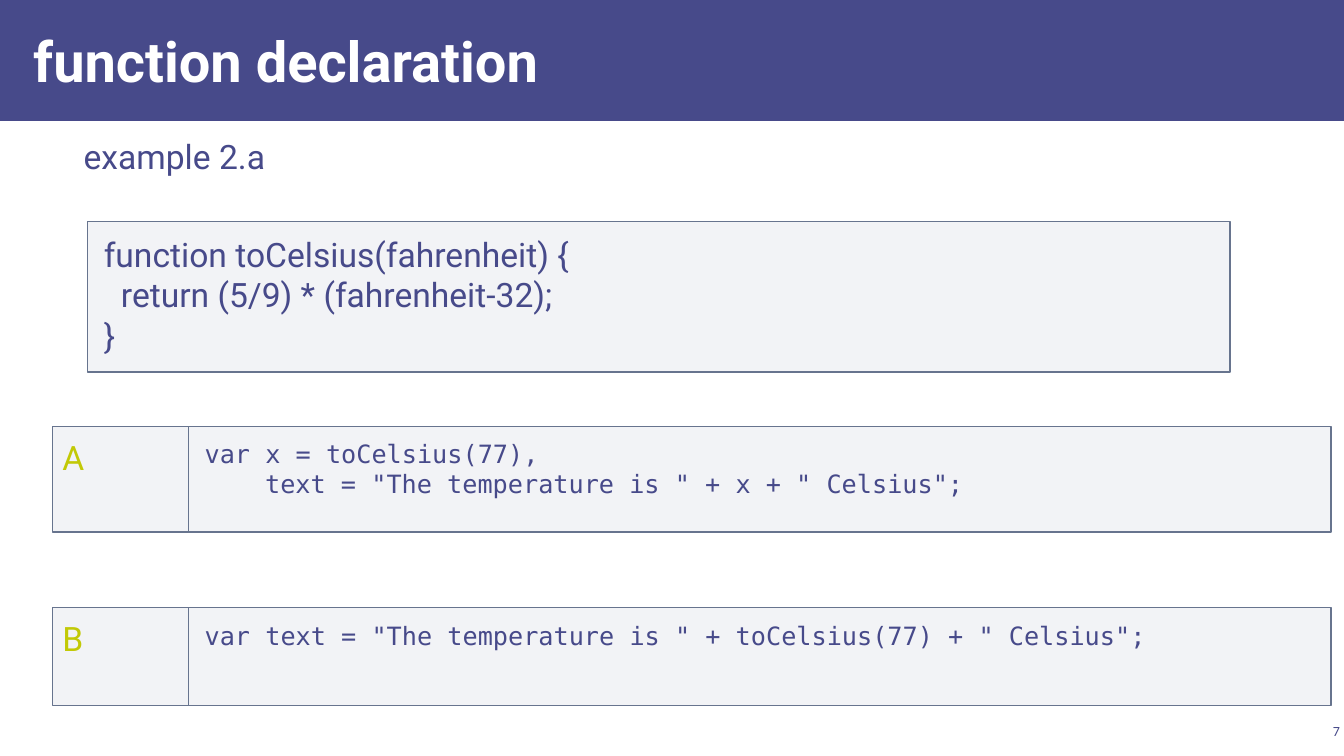
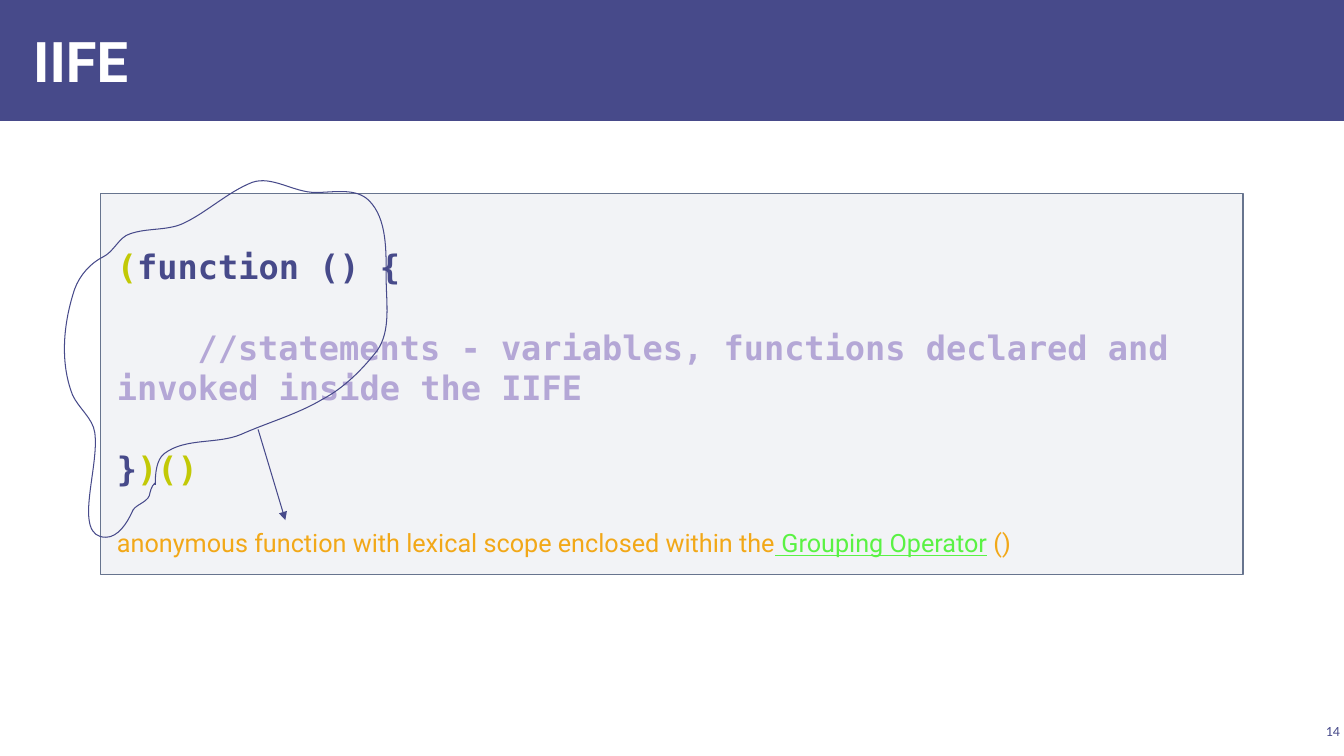
import pptx
import pptx.util
import pptx.dml.color
import pptx.enum.shapes
import pptx.enum.text
import pptx.oxml
import pptx.oxml.ns

Inches = pptx.util.Inches
Pt = pptx.util.Pt
SHAPE = pptx.enum.shapes.MSO_SHAPE
ANCHOR = pptx.enum.text.MSO_ANCHOR
ALIGN = pptx.enum.text.PP_ALIGN

INK, WHITE, LIME = "474A8A", "FFFFFF", "C2C906"
TINT, EDGE = "ACB4C3", "67748E"
LILAC, GOLD, GREEN = "B4A7D6", "F2A818", "5AF244"
SANS, MONO, SMALL = "Roboto", "DejaVu Sans Mono", "Calibri"
WIDE = 11.33
PAD = (0.16, 0.12)

BODY = [
    {"text": "function toCelsius(fahrenheit) {"},
    {"text": "return (5/9) * (fahrenheit-32);", "indent": 0.17},
    {"text": "}"},
]

CALLS = [
    ("A", 4.23, 1.05, [
        {"text": "var x = toCelsius(77),"},
        {"text": 'text = "The temperature is " + x + " Celsius";', "indent": 0.6},
    ]),
    ("B", 6.03, 0.97, [
        {"text": 'var text = "The temperature is " + toCelsius(77) + " Celsius";'},
    ]),
]

CODE = {"size": 24, "face": MONO, "bold": True}
IIFE = [
    {"runs": [("(", LIME), ("function () {", INK)], **CODE},
    {"text": "//statements - variables, functions declared and invoked inside the IIFE",
     "color": LILAC, "indent": 0.8, "gap": 29, **CODE},
    {"runs": [("}", INK), (")()", LIME)], "gap": 29, **CODE},
    {"runs": [("anonymous function with lexical scope enclosed within the", GOLD),
              (" Grouping Operator", GREEN, True), (" ()", GOLD)],
     "size": 18, "gap": 28},
]

LOOP = (0.64, 1.79, 3.21, 3.54)
START = (1.54, 4.81)
CURVES = [
    (1.54, 4.7, 1.55, 4.56, 1.63, 4.5), (1.84, 4.34, 2.15, 4.41, 2.39, 4.31),
    (2.66, 4.19, 2.95, 4.11, 3.2, 3.96), (3.41, 3.85, 3.59, 3.67, 3.74, 3.48),
    (3.88, 3.28, 3.83, 3, 3.83, 2.76), (3.83, 2.49, 3.84, 2.17, 3.66, 1.99),
    (3.53, 1.86, 3.31, 1.91, 3.13, 1.91), (2.91, 1.91, 2.7, 1.74, 2.5, 1.81),
    (2.25, 1.91, 2.05, 2.11, 1.81, 2.22), (1.65, 2.29, 1.46, 2.26, 1.29, 2.32),
    (1.18, 2.35, 1.13, 2.5, 1.02, 2.55), (0.9, 2.61, 0.79, 2.73, 0.74, 2.87),
    (0.63, 3.2, 0.59, 3.59, 0.72, 3.92), (0.78, 4.05, 0.92, 4.15, 0.94, 4.29),
    (0.99, 4.64, 0.71, 5.33, 1.05, 5.33), (1.17, 5.33, 1.26, 5.19, 1.31, 5.08),
    (1.33, 5.01, 1.45, 4.99, 1.48, 4.92), (1.49, 4.88, 1.5, 4.82, 1.54, 4.79),
]


def paint(target, color):
    target.rgb = pptx.dml.color.RGBColor.from_string(color)


def fill(shape, color):
    shape.fill.solid()
    paint(shape.fill.fore_color, color)


def stroke(shape, color, width):
    paint(shape.line.color, color)
    shape.line.width = Pt(width)


def append(parent, tag, **attrs):
    child = parent.makeelement(pptx.oxml.ns.qn(tag), attrs)
    parent.append(child)
    return child


def write(shape, lines, pad, anchor=ANCHOR.TOP, align=ALIGN.LEFT, **style):
    frame = shape.text_frame
    frame.word_wrap = True
    frame.vertical_anchor = anchor
    frame.margin_left = frame.margin_right = Inches(pad[0])
    frame.margin_top = Inches(pad[1])
    frame.margin_bottom = Inches(min(pad))
    for pos, line in enumerate(lines):
        look = {"size": 24, "face": SANS, "color": INK, "bold": False, **style, **line}
        para = frame.add_paragraph() if pos else frame.paragraphs[0]
        para.alignment = align
        para.font.size = Pt(look["size"])
        para.font.name = look["face"]
        para.font.bold = look["bold"]
        paint(para.font.color, look["color"])
        if "gap" in look:
            para.space_before = Pt(look["gap"])
        if "indent" in look:
            para._p.get_or_add_pPr().set("indent", str(Inches(look["indent"])))
        for text, color, *under in look.get("runs") or [(look["text"], look["color"])]:
            run = para.add_run()
            run.text = text
            if color != look["color"]:
                paint(run.font.color, color)
            if under:
                run.font.underline = True


def rect(slide, *at):
    shape = slide.shapes.add_shape(SHAPE.RECTANGLE, *map(Inches, at))
    shape.shadow.inherit = False
    return shape


def label(slide, at, text, pad, **style):
    box = slide.shapes.add_textbox(*map(Inches, at))
    write(box, [{"text": text}], pad, **style)


def panel(slide, at, lines, pad=PAD, **style):
    shape = rect(slide, *at)
    fill(shape, TINT)
    tint = shape.fill._xPr.find(".//" + pptx.oxml.ns.qn("a:srgbClr"))
    append(tint, "a:alpha", val="15000")
    stroke(shape, EDGE, 1)
    write(shape, lines, pad, **style)


def page(deck, title, number):
    slide = deck.slides.add_slide(deck.slide_layouts[6])
    band = rect(slide, 0, 0, 13.33, 1.2)
    fill(band, INK)
    band.line.fill.background()
    label(slide, (0.21, 0.11, 10.4, 0.97), title, (0.12, 0.04),
          anchor=ANCHOR.MIDDLE, size=40, color=WHITE, bold=True)
    label(slide, (12.86, 7.14, 0.47, 0.22), str(number), (0.04, 0.04),
          anchor=ANCHOR.MIDDLE, align=ALIGN.RIGHT, size=10, face=SMALL)
    return slide


def loop(slide):
    left, top, wide, high = map(Inches, LOOP)
    pen = slide.shapes.build_freeform(*map(Inches, START))
    ends = [tuple(map(Inches, curve[4:])) for curve in CURVES]
    pen.add_line_segments(ends, close=False)
    shape = pen.convert_to_shape()
    shape.left, shape.top, shape.width, shape.height = left, top, wide, high
    route = shape._element.spPr.find(".//" + pptx.oxml.ns.qn("a:path"))
    for node in list(route):
        route.remove(node)
    route.set("w", str(wide))
    route.set("h", str(high))
    steps = [("a:moveTo", START)] + [("a:cubicBezTo", curve) for curve in CURVES]
    for tag, spots in steps:
        step = append(route, tag)
        for x, y in zip(spots[::2], spots[1::2]):
            append(step, "a:pt", x=str(Inches(x) - left), y=str(Inches(y) - top))
    shape.shadow.inherit = False
    shape.fill.background()
    stroke(shape, INK, 0.75)


def arrow(slide, *ends):
    line = slide.shapes.add_connector(
        pptx.enum.shapes.MSO_CONNECTOR.STRAIGHT, *map(Inches, ends))
    stroke(line, INK, 0.75)
    append(line.line._get_or_add_ln(), "a:tailEnd", type="triangle")
    append(line._element.spPr, "a:effectLst")


def main():
    deck = pptx.Presentation()
    deck.slide_width, deck.slide_height = Inches(13.33), Inches(7.5)

    slide = page(deck, "function declaration", 7)
    label(slide, (0.21, 1.31, 12.92, 5.69), "example 2.a", (0.12, 0.04), indent=0.5)
    panel(slide, (0.87, 2.2, WIDE, 1.49), BODY)
    for mark, top, high, lines in CALLS:
        panel(slide, (1.87, top, WIDE, high), lines, size=18, face=MONO)
        panel(slide, (0.52, top, 1.35, high), [{"text": mark}], (0.1, 0.1), color=LIME)

    slide = page(deck, "IIFE", 14)
    panel(slide, (1, 1.92, WIDE, 3.78), IIFE, (0.16, 0.52))
    loop(slide)
    arrow(slide, 2.56, 4.26, 2.83, 5.16)

    deck.save("out.pptx")


if __name__ == "__main__":
    main()
